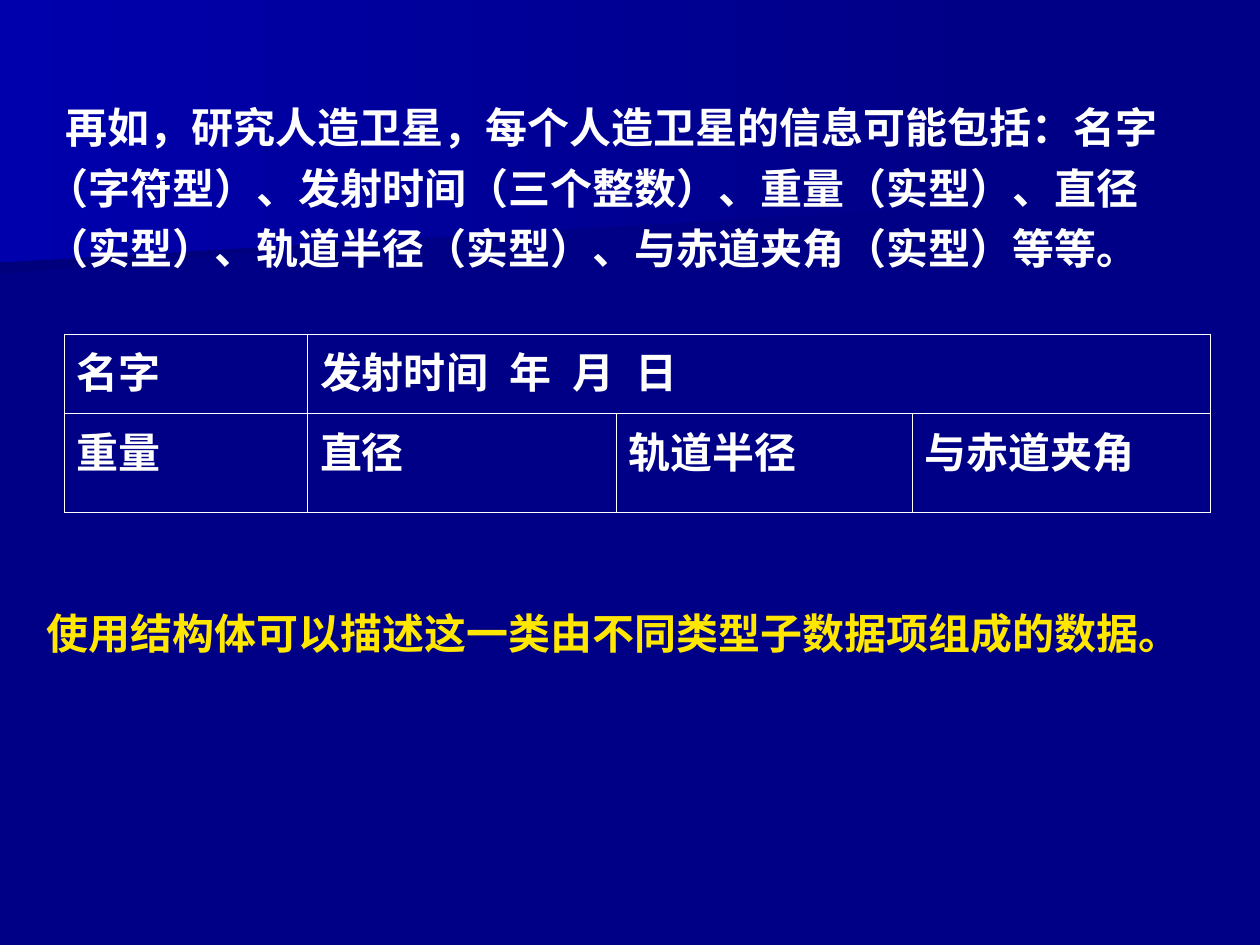
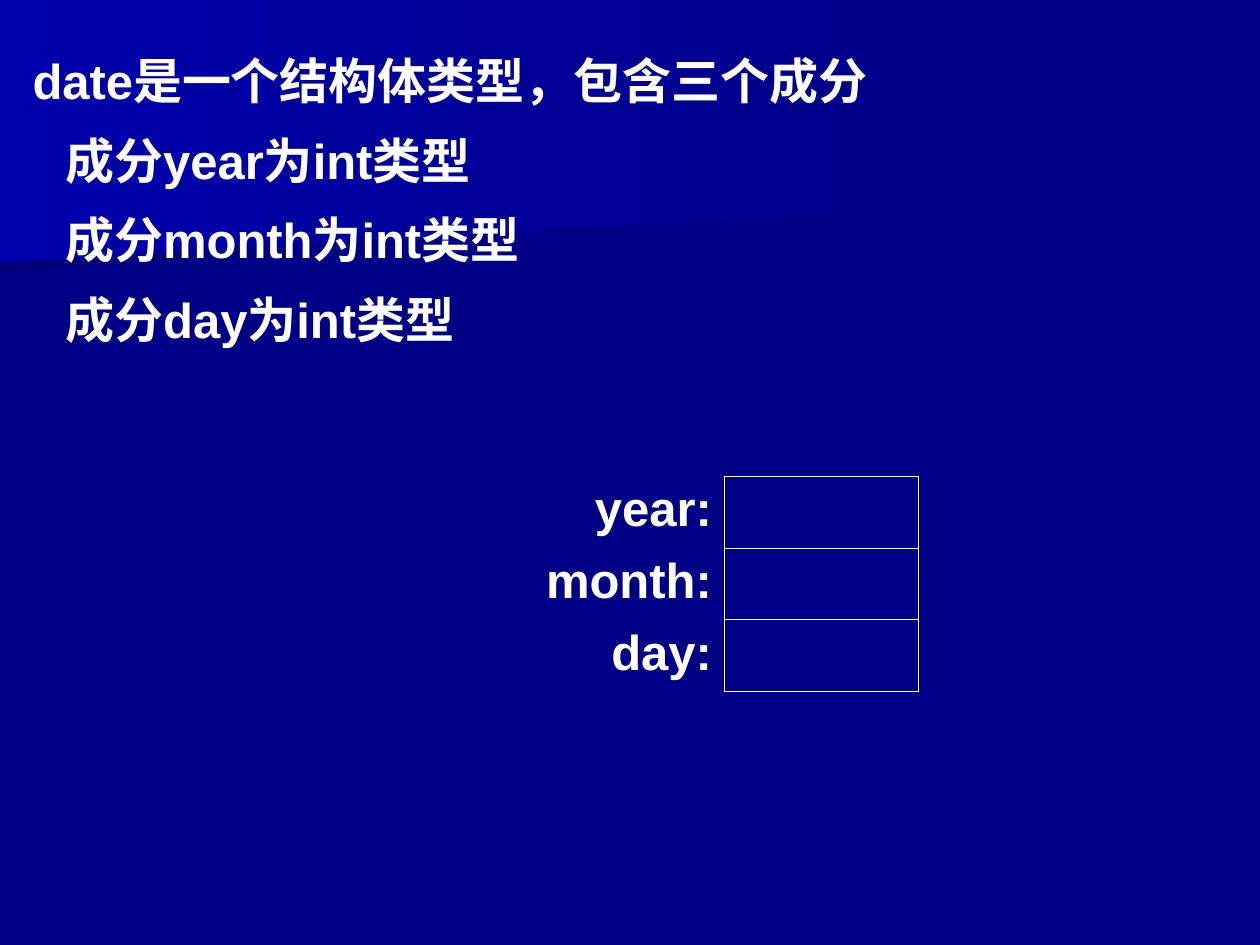
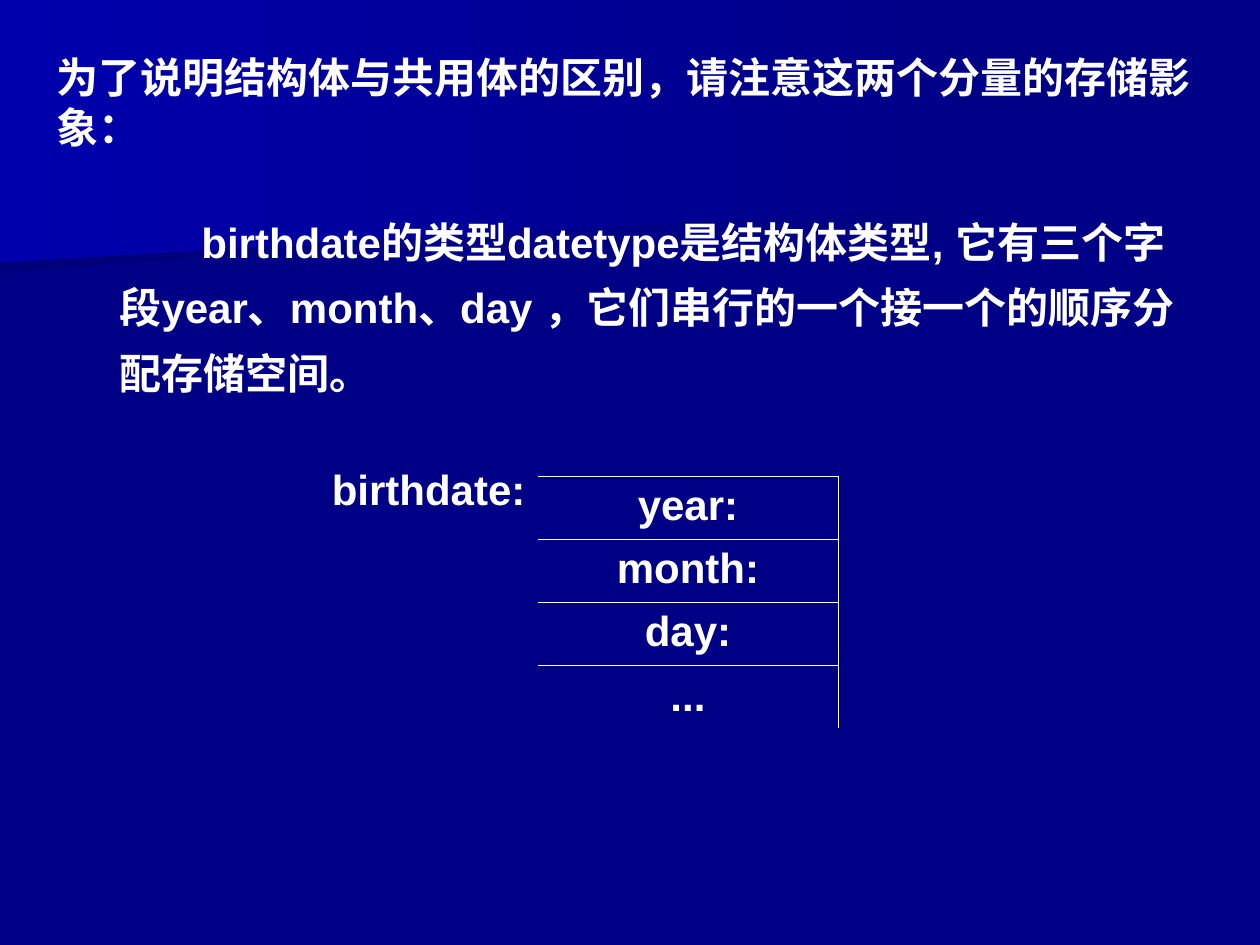
"""Build three slides on structure types and how their fields are stored."""
from lxml import etree
from pptx import Presentation
from pptx.dml.color import RGBColor
from pptx.enum import text
from pptx.oxml.ns import qn
from pptx.util import Inches, Pt

NAVY = RGBColor(0x00, 0x00, 0x86)
SHADE = RGBColor(0x00, 0x00, 0x7D)
GLOW = RGBColor(0x00, 0x00, 0xAC)
WHITE = RGBColor(0xFF, 0xFF, 0xFF)
YELLOW = RGBColor(0xFF, 0xE7, 0x01)
FONT = "Arial"
LEFT, CENTER, RIGHT = text.PP_ALIGN.LEFT, text.PP_ALIGN.CENTER, text.PP_ALIGN.RIGHT
BANDS = [
    (SHADE, [(7.78, 1.53), (0, 2.17), (0, 1.01), (7.79, 1.01), (7.78, 1.28)]),
    (GLOW, [(7.92, 1.62), (0, 2.08), (0, 0), (7.92, 0)]),
]


def write(frame, content, size=24, color=WHITE, align=LEFT, line=None, before=0,
          after=0, margin=0, indent=0, tabs=()):
    """Put content in the frame's next free paragraph."""
    paragraph = frame.paragraphs[0]
    if paragraph.runs:
        paragraph = frame.add_paragraph()
    paragraph.alignment = align
    paragraph.line_spacing = line
    paragraph.space_before, paragraph.space_after = Pt(before), Pt(after)
    properties = paragraph._p.get_or_add_pPr()
    properties.set("marL", str(Inches(margin)))
    properties.set("indent", str(Inches(indent)))
    if tabs:
        stops = etree.SubElement(properties, qn("a:tabLst"))
        for stop in tabs:
            etree.SubElement(stops, qn("a:tab"), pos=str(Inches(stop)), algn="l")
    run = paragraph.add_run()
    run.text = content
    run.font.name, run.font.size, run.font.bold = FONT, Pt(size), True
    run.font.color.rgb = color


class Deck:
    """The shared style and the slide being built."""

    def __init__(self):
        self.show = Presentation()
        self.show.slide_width, self.show.slide_height = Inches(10), Inches(7.5)
        backdrop = self.show.slide_master.background.fill
        backdrop.solid()
        backdrop.fore_color.rgb = NAVY

    def slide(self):
        """Start a slide with the two gradient bands."""
        self.shapes = self.show.slides.add_slide(self.show.slide_layouts[6]).shapes
        for color, points in BANDS:
            self.band(color, points)

    def band(self, color, points):
        """Draw an outline that fades from navy on the right to color."""
        start, *rest = [(Inches(x), Inches(y)) for x, y in points]
        builder = self.shapes.build_freeform(*start)
        builder.add_line_segments(rest)
        band = builder.convert_to_shape()
        band.shadow.inherit = False
        band.line.fill.background()
        band.fill.gradient()
        band.fill.gradient_angle = 180
        for stop, shade in zip(band.fill.gradient_stops, (NAVY, color)):
            stop.color.rgb = shade

    def text(self, left, top, width, height):
        """Add a wrapping text box and return its frame."""
        box = self.shapes.add_textbox(*map(Inches, (left, top, width, height)))
        box.text_frame.word_wrap = True
        return box.text_frame

    def table(self, left, top, widths, heights, edges):
        """Add a clear table; edges(row, column) names the ruled sides."""
        table = self.shapes.add_table(
            len(heights), len(widths), Inches(left), Inches(top),
            Inches(sum(widths)), Inches(sum(heights))).table
        table.first_row = table.horz_banding = False
        for column, width in zip(table.columns, widths):
            column.width = Inches(width)
        for r, height in enumerate(heights):
            table.rows[r].height = Inches(height)
            for c in range(len(widths)):
                self.rule(table.cell(r, c), edges(r, c))
        return table

    def rule(self, cell, sides):
        """Rule the named sides of a cell and clear the others."""
        properties = cell._tc.get_or_add_tcPr()
        for side in "LRTB":
            edge = etree.SubElement(properties, qn("a:ln" + side), w=str(Pt(0.45)))
            if side in sides:
                paint = etree.SubElement(edge, qn("a:solidFill"))
                etree.SubElement(paint, qn("a:srgbClr"), val=str(WHITE))
            else:
                etree.SubElement(edge, qn("a:noFill"))
        cell.fill.background()


def satellite(deck):
    """Show a satellite record with fields of mixed types."""
    deck.slide()
    write(deck.text(0.27, 0.68, 9.49, 1.54),
          "再如，研究人造卫星，每个人造卫星的信息可能包括：名字（字符型）、"
          "发射时间（三个整数）、重量（实型）、直径（实型）、轨道半径（实型）、"
          "与赤道夹角（实型）等等。", line=1.2, after=4.5, indent=0.15)
    record = deck.table(0.51, 2.65, [1.93, 2.45, 2.35, 2.37], [0.63, 0.79],
                        lambda r, c: "LRTB")
    record.cell(0, 1).merge(record.cell(0, 3))
    write(record.cell(0, 0).text_frame, "名字")
    write(record.cell(0, 1).text_frame, "发射时间\t年\t月\t日", tabs=(1.78, 2.87, 3.59))
    for c, field in enumerate(["重量", "直径", "轨道半径", "与赤道夹角"]):
        write(record.cell(1, c).text_frame, field)
    write(deck.text(0.27, 4.77, 9.41, 0.5),
          "使用结构体可以描述这一类由不同类型子数据项组成的数据。", color=YELLOW)


def date_type(deck):
    """List the members of the date type beside their boxes."""
    deck.slide()
    members = ["year", "month", "day"]
    storage = deck.table(4.21, 3.78, [1.54, 1.54], [0.57] * 3,
                         lambda r, c: "LRTB" if c else "R")
    summary = deck.text(0.16, 0.28, 7.21, 2.54)
    spacing = dict(size=28, line=1.15, after=3.5)
    write(summary, "date是一个结构体类型，包含三个成分", **spacing)
    for r, member in enumerate(members):
        write(summary, f"成分{member}为int类型", before=3.5, margin=0.26, **spacing)
        write(storage.cell(r, 0).text_frame, member + ":", size=28, align=RIGHT)


def birthdate(deck):
    """Show how the fields of birthdate follow each other in storage."""
    deck.slide()
    explanation = deck.text(0.35, 0.36, 9.21, 2.86)
    write(explanation, "为了说明结构体与共用体的区别，请注意这两个分量的存储影象：")
    write(explanation,
          "birthdate的类型datetype是结构体类型, 它有三个字段year、month、day ，"
          "它们串行的一个接一个的顺序分配存储空间。",
          line=1.3, before=28, margin=0.5, indent=0.65)
    sides = ["B", "TRB", "TRB", "TRB", "TR", ""]
    storage = deck.table(2.09, 3.28, [2.18, 2.38], [0.5] * 5 + [0.5],
                         lambda r, c: sides[r] if c else "")
    owner = storage.cell(0, 0)
    owner.merge(storage.cell(5, 0))
    owner.margin_top = Inches(0.43)
    write(owner.text_frame, "birthdate:", align=RIGHT)
    for r, field in enumerate(["year:", "month:", "day:", "..."], 1):
        write(storage.cell(r, 1).text_frame, field, align=CENTER)
    storage.cell(4, 1).vertical_anchor = text.MSO_ANCHOR.MIDDLE
    storage.rows[5].height = Inches(0.9)


def main():
    """Build and save the slides."""
    deck = Deck()
    for build in (satellite, date_type, birthdate):
        build(deck)
    deck.show.save("out.pptx")


if __name__ == "__main__":
    main()
